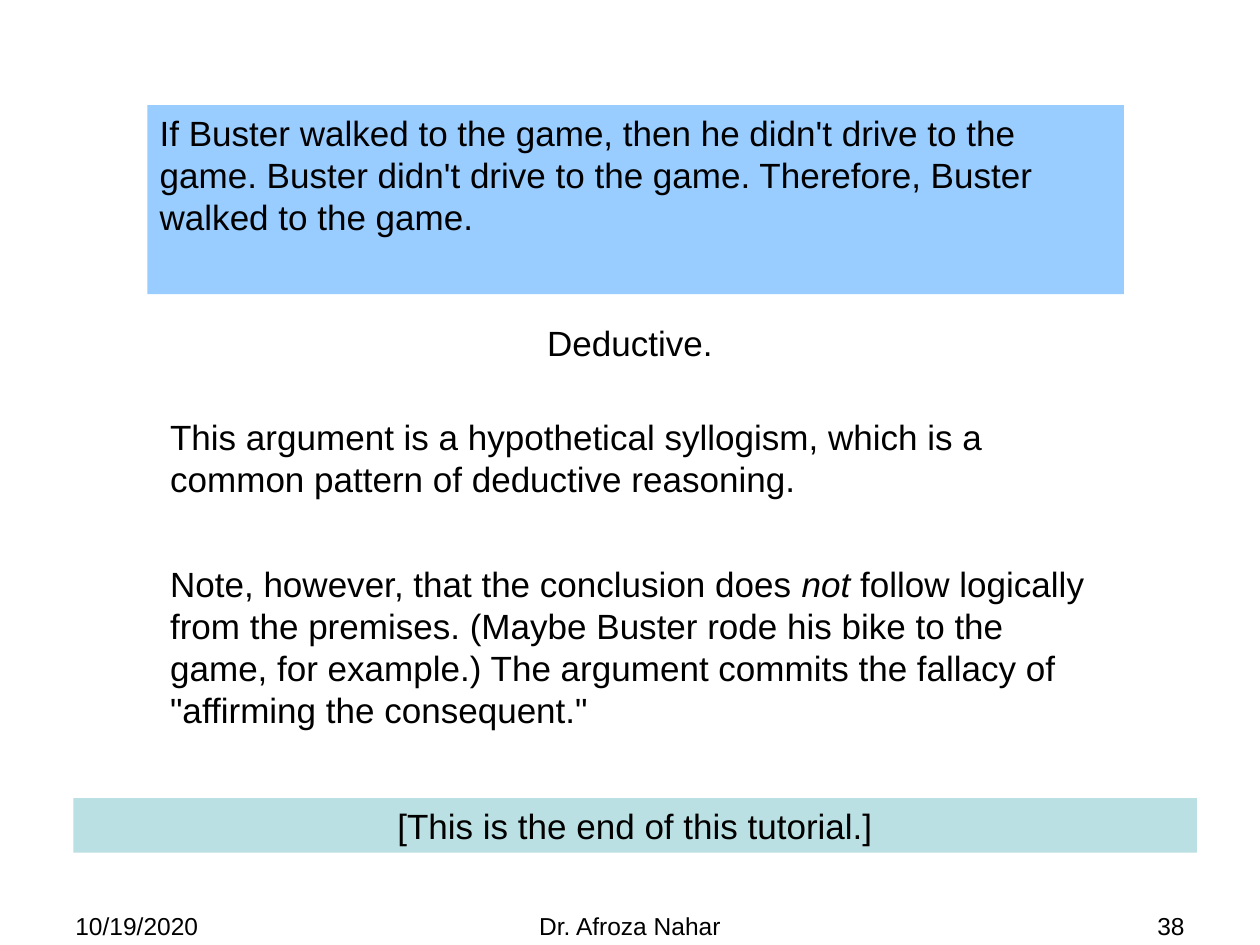
from dataclasses import dataclass
from typing import Optional

from pptx import Presentation
from pptx.dml.color import RGBColor
from pptx.enum.shapes import MSO_SHAPE
from pptx.enum.text import MSO_ANCHOR, PP_ALIGN
from pptx.util import Cm, Pt

RECT = MSO_SHAPE.RECTANGLE
TOP = MSO_ANCHOR.TOP
LEFT, CENTER, RIGHT = PP_ALIGN.LEFT, PP_ALIGN.CENTER, PP_ALIGN.RIGHT

BLACK = RGBColor(0x00, 0x00, 0x00)
SKY = RGBColor(0x99, 0xCC, 0xFF)
TEAL = RGBColor(0xBB, 0xE0, 0xE3)
FONT = "Arial"
BODY, FOOTER = 20, 14
FOOTER_TOP, FOOTER_HEIGHT = 18.24, 0.76


@dataclass
class Block:
    """A text block; lengths in centimetres, *marks* enclose italics."""
    text: str
    left: float
    top: float
    width: float
    height: float
    fill: Optional[RGBColor] = None
    align: PP_ALIGN = LEFT
    size: int = BODY


def footer(text: str, left: float, width: float, align: PP_ALIGN) -> Block:
    """Return a block on the footer line."""
    return Block(text, left, FOOTER_TOP, width, FOOTER_HEIGHT,
                 align=align, size=FOOTER)


BLOCKS = [
    Block("If Buster walked to the game, then he didn't drive to the game. "
          "Buster didn't drive to the game. Therefore, Buster walked to the game.",
          2.97, 2.12, 19.69, 3.81, fill=SKY),
    Block("[This is the end of this tutorial.]",
          1.48, 16.09, 22.65, 1.1, fill=TEAL, align=CENTER),
    Block("Note, however, that the conclusion does *not* follow logically from "
          "the premises. (Maybe Buster rode his bike to the game, for example.) "
          "The argument commits the fallacy of \"affirming the consequent.\"",
          3.18, 11.22, 19.26, 3.64),
    Block("This argument is a hypothetical syllogism, which is a common pattern "
          "of deductive reasoning.", 3.18, 8.26, 18.63, 1.95),
    Block("Deductive.", 0, 6.35, 25.4, 1.1, align=CENTER),
    footer("10/19/2020", 1.27, 5.93, LEFT),
    footer("Dr. Afroza Nahar", 8.68, 8.04, CENTER),
    footer("38", 18.2, 5.93, RIGHT),
]


def write_text(tf, text: str, *, size: int, align: PP_ALIGN) -> None:
    """Fill a text frame, setting *marked* words in italics."""
    tf.word_wrap = True
    tf.vertical_anchor = TOP
    p = tf.paragraphs[0]
    p.alignment = align
    for i, part in enumerate(text.split("*")):
        r = p.add_run()
        r.text = part
        r.font.name = FONT
        r.font.size = Pt(size)
        r.font.color.rgb = BLACK
        r.font.italic = i % 2 == 1


def draw_block(s, block: Block) -> None:
    """Draw a filled rectangle or a plain text box with its text."""
    box = [Cm(v) for v in (block.left, block.top, block.width, block.height)]
    if block.fill is None:
        sp = s.shapes.add_textbox(*box)
    else:
        sp = s.shapes.add_shape(RECT, *box)
        sp.shadow.inherit = False
        sp.fill.solid()
        sp.fill.fore_color.rgb = block.fill
        sp.line.fill.background()
    write_text(sp.text_frame, block.text, size=block.size, align=block.align)


def main() -> None:
    """Build and save the slide."""
    prs = Presentation()
    prs.slide_width, prs.slide_height = Cm(25.4), Cm(19.05)
    s = prs.slides.add_slide(prs.slide_layouts[6])
    for block in BLOCKS:
        draw_block(s, block)
    prs.save("out.pptx")


main()
